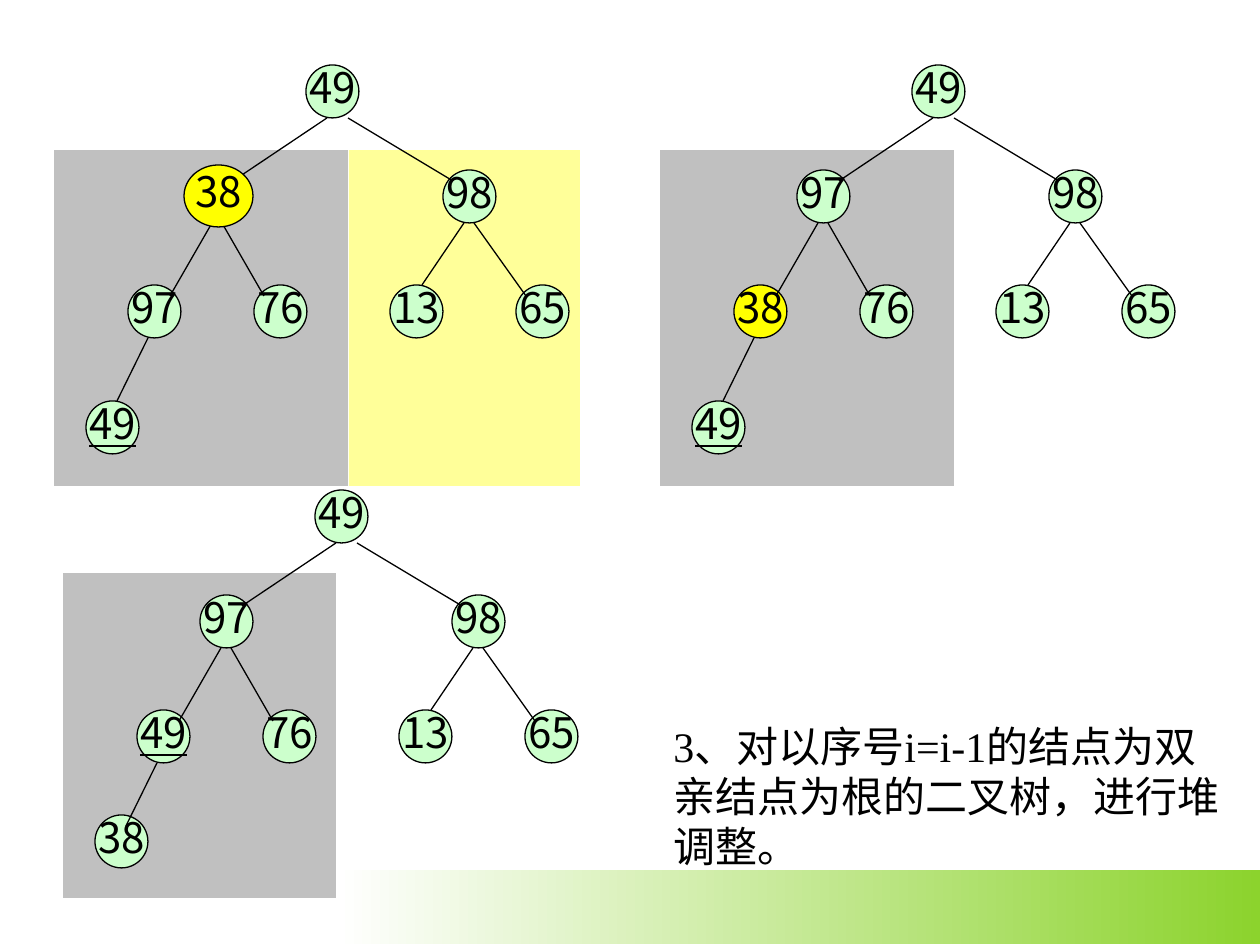
from lxml import etree
from pptx import Presentation
from pptx import util as u
from pptx.dml.color import RGBColor
from pptx.enum import shapes, text
from pptx.oxml.ns import qn

SCALE = 914400 // 126
SANS, SERIF = "Noto Sans CJK SC", "Times New Roman"
BLACK, GREEN, YELLOW, GREY, PALE = "000000", "CCFFCC", "FFFF00", "C0C0C0", "FFFF99"
NODE = 53
NOTE = "3、对以序号i=i-1的结点为双亲结点为根的二叉树，进行堆调整。"

# Node places in level order, and edge ends, measured from the root's corner
PLACES = [(0, 0), (-115, 105), (137, 105), (-178, 220), (-52, 220),
          (84, 220), (210, 220), (-220, 336)]
EDGES = [(21, 53, -73, 116), (42, 53, 147, 116),
         (-94, 158, -136, 231), (-84, 158, -42, 231),
         (158, 158, 116, 220), (168, 158, 220, 231),
         (-158, 273, -189, 336)]

# "_" marks the second, underlined 49; "*" marks the node being sifted down.
# A None key is drawn separately, as the enlarged node.
TREES = [
    {"root": (306, 65), "lift": 0,
     "keys": ["49", None, "98", "97", "76", "13", "65", "49_"],
     "zones": [(349, 150, 231, 336, PALE), (54, 150, 294, 336, GREY)],
     "big": ("38*", 184, 165, 69, 62)},
    {"root": (912, 65), "lift": 0,
     "keys": ["49", "97", "98", "38*", "76", "13", "65", "49_"],
     "zones": [(660, 150, 294, 336, GREY)]},
    {"root": (315, 490), "lift": 11,
     "keys": ["49", "97", "98", "49_", "76", "13", "65", "38"],
     "zones": [(63, 573, 273, 325, GREY)]},
]

deck = Presentation()
deck.slide_width, deck.slide_height = u.Inches(10), u.Inches(7.5)
slide = deck.slides.add_slide(deck.slide_layouts[6])


def px(*nums):
    return [u.Emu(n * SCALE) for n in nums]


def rgb(code):
    return RGBColor.from_string(code)


def shape(kind, box, fill=None):
    item = slide.shapes.add_shape(kind, *px(*box))
    item.shadow.inherit = False
    item.line.fill.background()
    if fill:
        item.fill.solid()
        item.fill.fore_color.rgb = rgb(fill)
    return item


def write(para, words, font):
    run = para.add_run()
    run.text = words
    run.font.size = u.Pt(24)
    run.font.color.rgb = rgb(BLACK)
    run.font.name = font
    east = etree.SubElement(run._r.get_or_add_rPr(), qn("a:ea"))
    east.set("typeface", SANS)
    return run


def ink(line):
    line.color.rgb = rgb(BLACK)
    line.width = u.Pt(0.75)


def node(key, x, y, w=NODE, h=NODE):
    item = shape(shapes.MSO_SHAPE.OVAL, (x, y, w, h),
                 YELLOW if "*" in key else GREEN)
    ink(item.line)
    frame = item.text_frame
    frame.word_wrap = False
    frame.vertical_anchor = text.MSO_ANCHOR.MIDDLE
    para = frame.paragraphs[0]
    para.alignment = text.PP_ALIGN.CENTER
    para.line_spacing = 0.8
    run = write(para, key.strip("*_"), SANS)
    if "_" in key:
        run.font.underline = True


def edge(*ends):
    line = slide.shapes.add_connector(shapes.MSO_CONNECTOR.STRAIGHT, *px(*ends))
    ink(line.line)
    etree.SubElement(line._element.spPr, qn("a:effectLst"))


def tree(root, lift, keys, zones, big=None):
    """Draw one tree; lift raises its lowest leaf."""
    left, top = root
    for *box, fill in zones:
        shape(shapes.MSO_SHAPE.RECTANGLE, box, fill)
    for i, (key, (x, y)) in enumerate(zip(keys, PLACES)):
        if key:
            rise = lift if i == len(PLACES) - 1 else 0
            node(key, left + x, top + y - rise)
    for x1, y1, x2, y2 in EDGES:
        edge(left + x1, top + y1, left + x2, top + y2)
    if big:
        node(*big)


band = shape(shapes.MSO_SHAPE.RECTANGLE, (336, 870, 924, 74))
band.fill.gradient()
band.fill.gradient_angle = 0
for stop, place, code in zip(band.fill.gradient_stops, (0, 1), ("FFFFFF", "8CD32D")):
    stop.position = place
    stop.color.rgb = rgb(code)

for item in TREES:
    tree(**item)

note = slide.shapes.add_textbox(*px(661, 714, 577, 164)).text_frame
note.word_wrap = True
note.paragraphs[0].space_before = u.Pt(15)
write(note.paragraphs[0], NOTE, SERIF)

deck.save("out.pptx")
